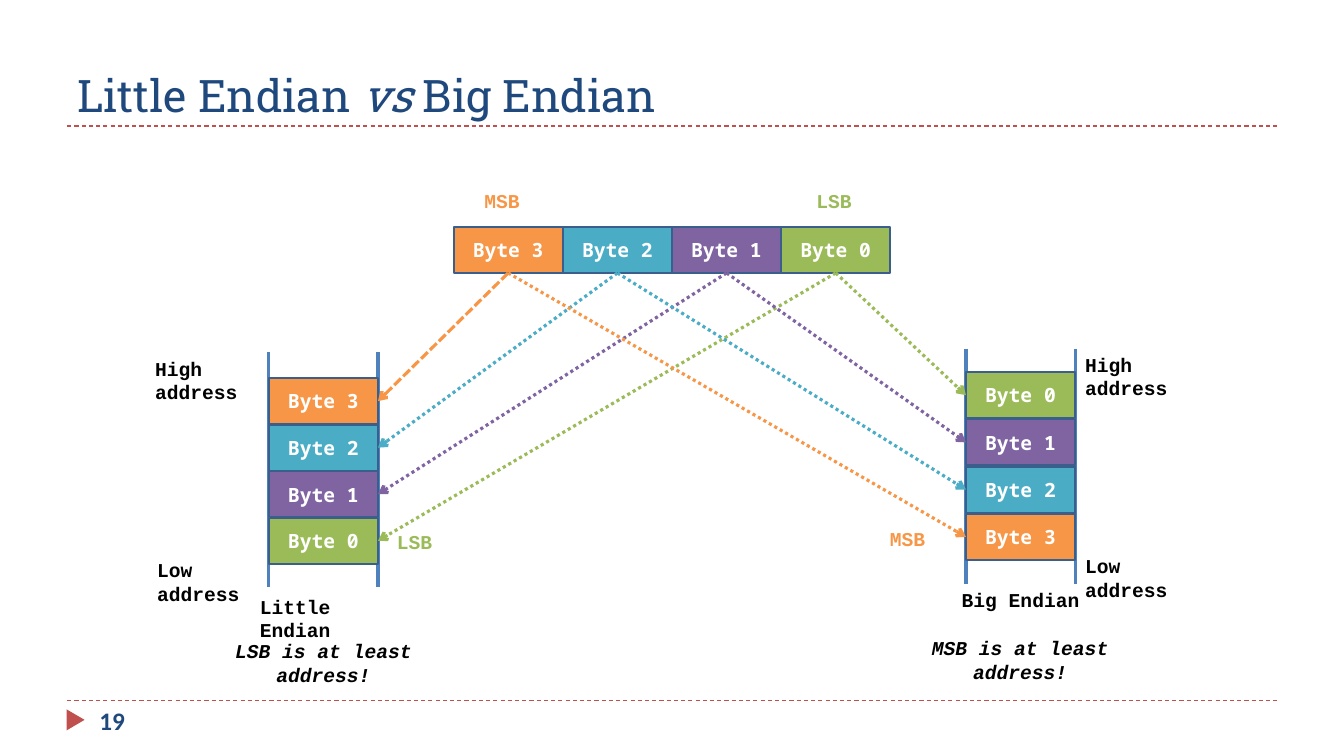
import pptx
import pptx.util
import pptx.dml.color
import pptx.enum.dml
import pptx.enum.shapes
import pptx.enum.text
import pptx.oxml
import pptx.oxml.ns

Pt = pptx.util.Pt
SHAPE = pptx.enum.shapes.MSO_SHAPE
DASH = pptx.enum.dml.MSO_LINE
ALIGN = pptx.enum.text.PP_ALIGN
ANCHOR = pptx.enum.text.MSO_ANCHOR

NAVY, RED, BLACK, WHITE = "1F497D", "C0504D", "000000", "FFFFFF"
ORANGE, TEAL, PURPLE, GREEN = "F79646", "4BACC6", "8064A2", "9BBB59"
BYTES = [("Byte 3", ORANGE), ("Byte 2", TEAL), ("Byte 1", PURPLE), ("Byte 0", GREEN)]
BYTE_W, BYTE_H = 78, 33


def color(value):
    return pptx.dml.color.RGBColor.from_string(value)


class SlideBuilder:
    outline, rail = "3A5F8C", "4F81BD"
    label_font, byte_font = "Courier New", "Noto Sans Mono"

    def __init__(self, slide):
        self.shapes = slide.shapes

    def style(self, run, font, size, ink, bold=True, italic=False):
        run.font.name, run.font.size = font, Pt(size)
        run.font.bold, run.font.italic = bold, italic
        run.font.color.rgb = color(ink)

    def frame(self, x, y, w, h):
        frame = self.shapes.add_textbox(Pt(x), Pt(y), Pt(w), Pt(h)).text_frame
        frame.word_wrap = True
        return frame

    def title(self, parts, x, y, w, h):
        frame = self.frame(x, y, w, h)
        frame.vertical_anchor = ANCHOR.BOTTOM
        for words, italic in parts:
            run = frame.paragraphs[0].add_run()
            run.text = words
            self.style(run, "Roboto Slab", 32, NAVY, False, italic)

    def label(self, words, x, y, w, h=29, ink=BLACK, italic=False,
              align=ALIGN.LEFT, font=label_font, size=14):
        paragraph = self.frame(x, y, w, h).paragraphs[0]
        paragraph.text = words
        paragraph.alignment = align
        self.style(paragraph.runs[0], font, size, ink, True, italic)

    def shape(self, kind, x, y, w, h, fill):
        shape = self.shapes.add_shape(kind, Pt(x), Pt(y), Pt(w), Pt(h))
        shape.shadow.inherit = False
        shape.fill.solid()
        shape.fill.fore_color.rgb = color(fill)
        shape.line.fill.background()
        return shape

    def byte(self, words, fill, x, y):
        cell = self.shape(SHAPE.RECTANGLE, x, y, BYTE_W, BYTE_H, fill)
        cell.line.color.rgb = color(self.outline)
        cell.line.width = Pt(1.5)
        frame = cell.text_frame
        frame.vertical_anchor = ANCHOR.MIDDLE
        frame.text = words
        frame.paragraphs[0].alignment = ALIGN.CENTER
        self.style(frame.paragraphs[0].runs[0], self.byte_font, 14, WHITE)

    def line(self, start, end, ink=rail, width=2.25, dash=None, arrow=False):
        line = self.shapes.add_connector(
            pptx.enum.shapes.MSO_CONNECTOR.STRAIGHT, *map(Pt, start + end))
        line.line.color.rgb = color(ink)
        line.line.width = Pt(width)
        if dash:
            line.line.dash_style = dash
        properties = line.element.spPr
        if arrow:
            tip = pptx.oxml.parse_xml(
                f'<a:tailEnd {pptx.oxml.ns.nsdecls("a")} type="arrow"/>')
            properties.find(pptx.oxml.ns.qn("a:ln")).append(tip)
        properties.append(pptx.oxml.parse_xml(
            f'<a:effectLst {pptx.oxml.ns.nsdecls("a")}/>'))


def main():
    deck = pptx.Presentation()
    deck.slide_width, deck.slide_height = Pt(960), Pt(540)
    slide = SlideBuilder(deck.slides.add_slide(deck.slide_layouts[6]))

    # Slide frame: rules, page marker, title and number
    for rule_y in (500.4, 90):
        slide.line((48, rule_y), (912, rule_y), RED, 0.75, DASH.DASH)
    marker = slide.shape(SHAPE.ISOSCELES_TRIANGLE, 46.5, 507.8, 15, 12.8, RED)
    marker.rotation = 90
    slide.title([("Little Endian ", False), ("vs", True), (" Big Endian", False)],
                48, 12.2, 864, 77.8)
    slide.label("19", 64, 500.4, 208, ink=NAVY, font="Calibri", size=18)

    # Register word, most significant byte first
    word_x, word_y = 324, 162
    for i, (name, fill) in enumerate(BYTES):
        slide.byte(name, fill, word_x + i * BYTE_W, word_y)
    slide.label("MSB", 339, 131.5, 47.5, ink=ORANGE)
    slide.label("LSB", 576, 131.5, 42, ink=GREEN)

    # Memory columns: left, first byte top, pitch, rail top, byte order, arrow side
    little = (192, 270, 33.25, 251.3, BYTES, BYTE_W)
    big = (690, 265.75, 33.75, 249, BYTES[::-1], 0)
    for left, top, pitch, rail_top, order, side in (little, big):
        for rail_x in (left, left + BYTE_W):
            slide.line((rail_x, rail_top), (rail_x, rail_top + 168.3))
        for row, (name, fill) in enumerate(order):
            slide.byte(name, fill, left, top + row * pitch)

        # Arrows from each register byte to its memory cell
        for i, entry in enumerate(BYTES):
            cell_y = top + order.index(entry) * pitch + BYTE_H / 2
            first = order is BYTES and i == 0
            slide.line((word_x + (i + 0.5) * BYTE_W, word_y + BYTE_H),
                       (left + side, cell_y), entry[1], arrow=True,
                       dash=DASH.SQUARE_DOT if first else DASH.ROUND_DOT)

    # Address labels
    for high_x, low_x, high_y in ((103.7, 105.1, 251.3), (768, 768, 248.4)):
        slide.label("High address", high_x, high_y, 88.6, 24.5)
        slide.label("Low address", low_x, high_y + 144, 86.4, 24.5)

    # Captions under and beside the columns
    slide.label("LSB", 276.5, 375, 42, ink=GREEN)
    slide.label("MSB", 628.5, 373, 47.5, ink=ORANGE)
    slide.label("Little Endian", 178.5, 421.2, 106)
    slide.label("Big Endian", 676, 416.2, 106, align=ALIGN.CENTER)
    slide.label("LSB is at least address!", 145.4, 452.9, 171.4,
                italic=True, align=ALIGN.CENTER)
    slide.label("MSB is at least address!", 639.4, 450.7, 178.6,
                italic=True, align=ALIGN.CENTER)

    deck.save("out.pptx")


if __name__ == "__main__":
    main()
